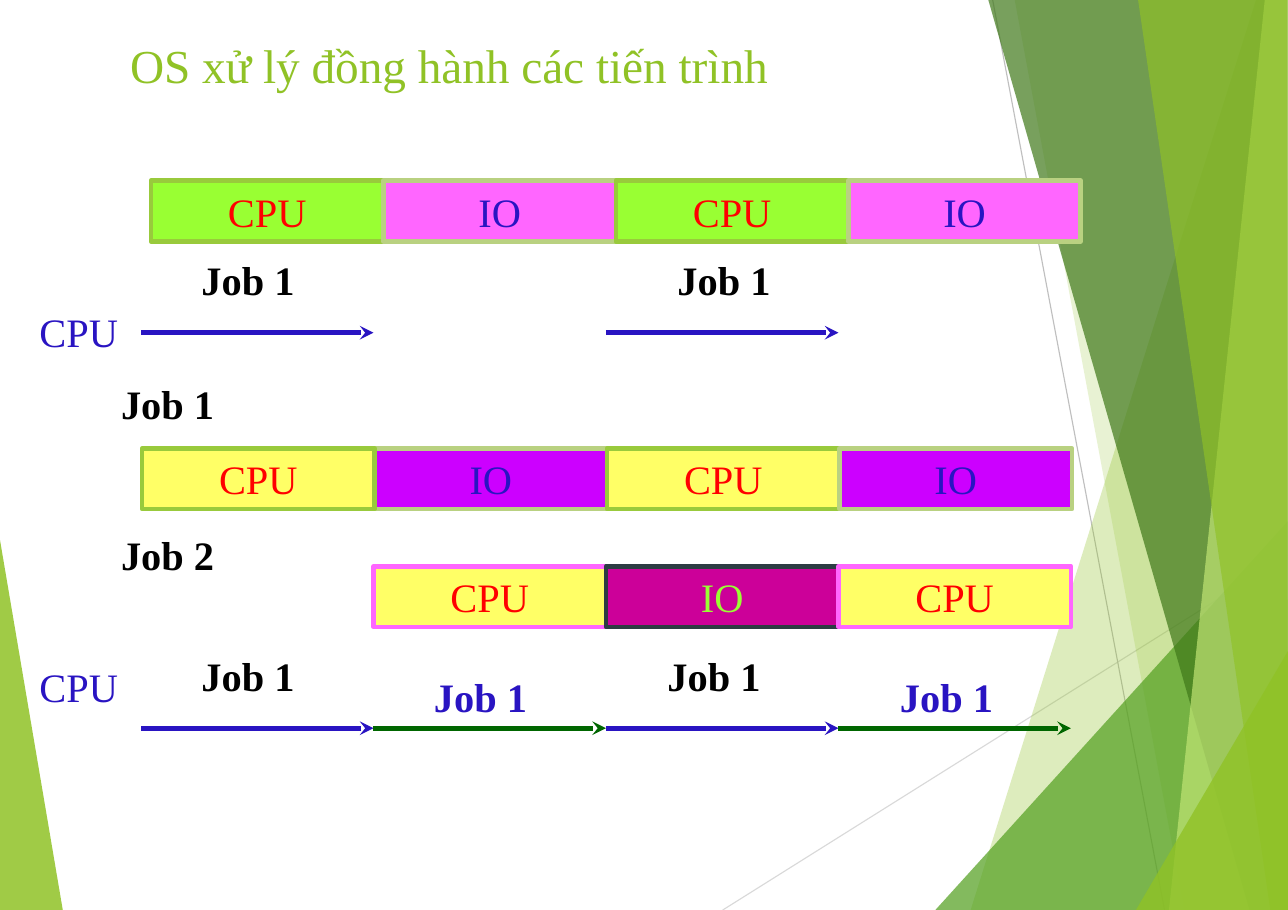
import pptx
import pptx.util
import pptx.dml.color
import pptx.enum.shapes
import pptx.enum.text
import pptx.oxml.ns
from lxml import etree
from pptx.util import Inches

RGBColor = pptx.dml.color.RGBColor
LIME = RGBColor(0x90, 0xC2, 0x26)
GREEN = RGBColor(0x54, 0xA0, 0x21)
DEEP_GREEN = RGBColor(0x3F, 0x78, 0x19)
PALE_LIME = RGBColor(0xC0, 0xE4, 0x74)
GRAY = RGBColor(0xBF, 0xBF, 0xBF)
LIGHT_GRAY = RGBColor(0xD9, 0xD9, 0xD9)
BRIGHT_GREEN = RGBColor(0x99, 0xFF, 0x33)
PINK = RGBColor(0xFF, 0x66, 0xFF)
YELLOW = RGBColor(0xFF, 0xFF, 0x66)
VIOLET = RGBColor(0xCC, 0x00, 0xFF)
MAGENTA = RGBColor(0xCC, 0x00, 0x99)
CPU_BORDER = RGBColor(0x99, 0xCA, 0x3C)
IO_BORDER = RGBColor(0xB9, 0xD1, 0x81)
SLATE = RGBColor(0x2C, 0x3C, 0x43)
RED = RGBColor(0xFF, 0x00, 0x00)
BLUE = RGBColor(0x29, 0x14, 0xC2)
DARK_GREEN = RGBColor(0x00, 0x66, 0x00)
BLACK = RGBColor(0x00, 0x00, 0x00)

WIDTH, HEIGHT = 11.69, 8.26
STEP = 2.11  # length of one time slot
BOX_HEIGHT = 0.55

presentation = pptx.Presentation()
presentation.slide_width = Inches(WIDTH)
presentation.slide_height = Inches(HEIGHT)
slide = presentation.slides.add_slide(presentation.slide_layouts[5])
shapes = slide.shapes


def write(shape, text, size, color, bold=False):
    run = shape.text_frame.paragraphs[0].add_run()
    run.text = text
    run.font.name = "Times New Roman"
    run.font.size = pptx.util.Pt(size)
    run.font.bold = bold
    run.font.color.rgb = color


def draw_line(start, end, color, width, arrow=False):
    connector = shapes.add_connector(
        pptx.enum.shapes.MSO_CONNECTOR.STRAIGHT,
        *[Inches(value) for value in start + end])
    connector.line.color.rgb = color
    connector.line.width = pptx.util.Pt(width)
    if arrow:
        line = connector.line._get_or_add_ln()
        etree.SubElement(line, pptx.oxml.ns.qn("a:tailEnd"), type="stealth")
    etree.SubElement(connector._element.spPr, pptx.oxml.ns.qn("a:effectLst"))


# Title
title = shapes.title
title.left, title.top = Inches(1.08), Inches(0.28)
title.width, title.height = Inches(9.82), Inches(1.19)
title.text_frame.vertical_anchor = pptx.enum.text.MSO_ANCHOR.TOP
title.text_frame.auto_size = pptx.enum.text.MSO_AUTO_SIZE.NONE
title.text_frame.paragraphs[0].alignment = pptx.enum.text.PP_ALIGN.LEFT
write(title, "OS xử lý đồng hành các tiến trình", 30.9, LIME)

# Background rays
draw_line((6.56, HEIGHT), (WIDTH, 5.04), LIGHT_GRAY, 0.75)
draw_line((9.01, 0), (10.57, HEIGHT), GRAY, 0.75)

# Translucent background facets: colour, opacity in percent, corners
facets = [
    (LIME, 85, [(0, 4.9), (0.57, HEIGHT), (0, HEIGHT)]),
    (LIME, 30, [(11.4, 0), (8.81, HEIGHT), (WIDTH, HEIGHT), (WIDTH, 0)]),
    (LIME, 20, [(9.21, 0), (10.75, HEIGHT), (WIDTH, HEIGHT), (WIDTH, 0)]),
    (GREEN, 72, [(8.49, HEIGHT), (WIDTH, 4.73), (WIDTH, HEIGHT)]),
    (DEEP_GREEN, 70, [(8.97, 0), (11.34, HEIGHT), (WIDTH, HEIGHT), (WIDTH, 0)]),
    (PALE_LIME, 70, [(11.48, 0), (10.61, HEIGHT), (WIDTH, HEIGHT), (WIDTH, 0)]),
    (LIME, 65, [(10.33, 0), (11.53, HEIGHT), (WIDTH, HEIGHT), (11.68, 0)]),
    (LIME, 80, [(10.31, HEIGHT), (WIDTH, 5.91), (WIDTH, HEIGHT)]),
]
for color, opacity, corners in facets:
    points = [(Inches(x), Inches(y)) for x, y in corners]
    builder = shapes.build_freeform(*points[0])
    builder.add_line_segments(points[1:], close=True)
    facet = builder.convert_to_shape()
    facet.shadow.inherit = False
    facet.fill.solid()
    facet.fill.fore_color.rgb = color
    facet.line.fill.background()
    fill_color = facet._element.spPr.find(".//" + pptx.oxml.ns.qn("a:srgbClr"))
    etree.SubElement(fill_color, pptx.oxml.ns.qn("a:alpha"), val=str(opacity * 1000))

# Job rows: left, top, slots from back to front, styles of even and odd slots
# A style is label, fill, border, text colour
job_rows = [
    (1.37, 1.64, [0, 1, 2, 3],
     [("CPU", BRIGHT_GREEN, CPU_BORDER, RED), ("IO", PINK, IO_BORDER, BLUE)]),
    (1.29, 4.07, [1, 2, 3, 0],
     [("CPU", YELLOW, CPU_BORDER, RED), ("IO", VIOLET, IO_BORDER, BLUE)]),
    (3.39, 5.14, [0, 1, 2],
     [("CPU", YELLOW, PINK, RED), ("IO", MAGENTA, SLATE, BRIGHT_GREEN)]),
]
for left, top, slots, styles in job_rows:
    for slot in slots:
        label, fill, border, text_color = styles[slot % 2]
        box = shapes.add_shape(
            pptx.enum.shapes.MSO_SHAPE.RECTANGLE, Inches(left + slot * STEP),
            Inches(top), Inches(STEP), Inches(BOX_HEIGHT))
        box.shadow.inherit = False
        box.fill.solid()
        box.fill.fore_color.rgb = fill
        box.line.color.rgb = border
        box.line.width = pptx.util.Pt(3)
        box.text_frame.vertical_anchor = pptx.enum.text.MSO_ANCHOR.MIDDLE
        box.text_frame.paragraphs[0].alignment = pptx.enum.text.PP_ALIGN.CENTER
        write(box, label, 26.4, text_color)

# Labels: text, left, top, colour
labels = [
    ("CPU", 0.26, 2.74, BLUE),
    ("Job 1", 1.73, 2.27, BLACK),
    ("Job 1", 6.05, 2.27, BLACK),
    ("Job 1", 1, 3.39, BLACK),
    ("Job 2", 1, 4.76, BLACK),
    ("CPU", 0.26, 5.96, BLUE),
    ("Job 1", 1.73, 5.86, BLACK),
    ("Job 1", 3.84, 6.05, BLUE),
    ("Job 1", 5.96, 5.86, BLACK),
    ("Job 1", 8.07, 6.05, BLUE),
]
for text, left, top, color in labels:
    is_job = text.startswith("Job")
    label_box = shapes.add_textbox(
        Inches(left), Inches(top), Inches(1.05 if is_job else 0.93), Inches(BOX_HEIGHT))
    label_box.text_frame.word_wrap = False
    write(label_box, text, 26.4, color, bold=is_job)

# CPU timelines: height, busy slots
for y, slots in [(3.02, [0, 2]), (6.61, [0, 2, 1, 3])]:
    for slot in slots:
        start = 1.28 + slot * STEP
        color = DARK_GREEN if slot % 2 else BLUE
        draw_line((start, y), (start + STEP, y), color, 3, arrow=True)

presentation.save("out.pptx")
